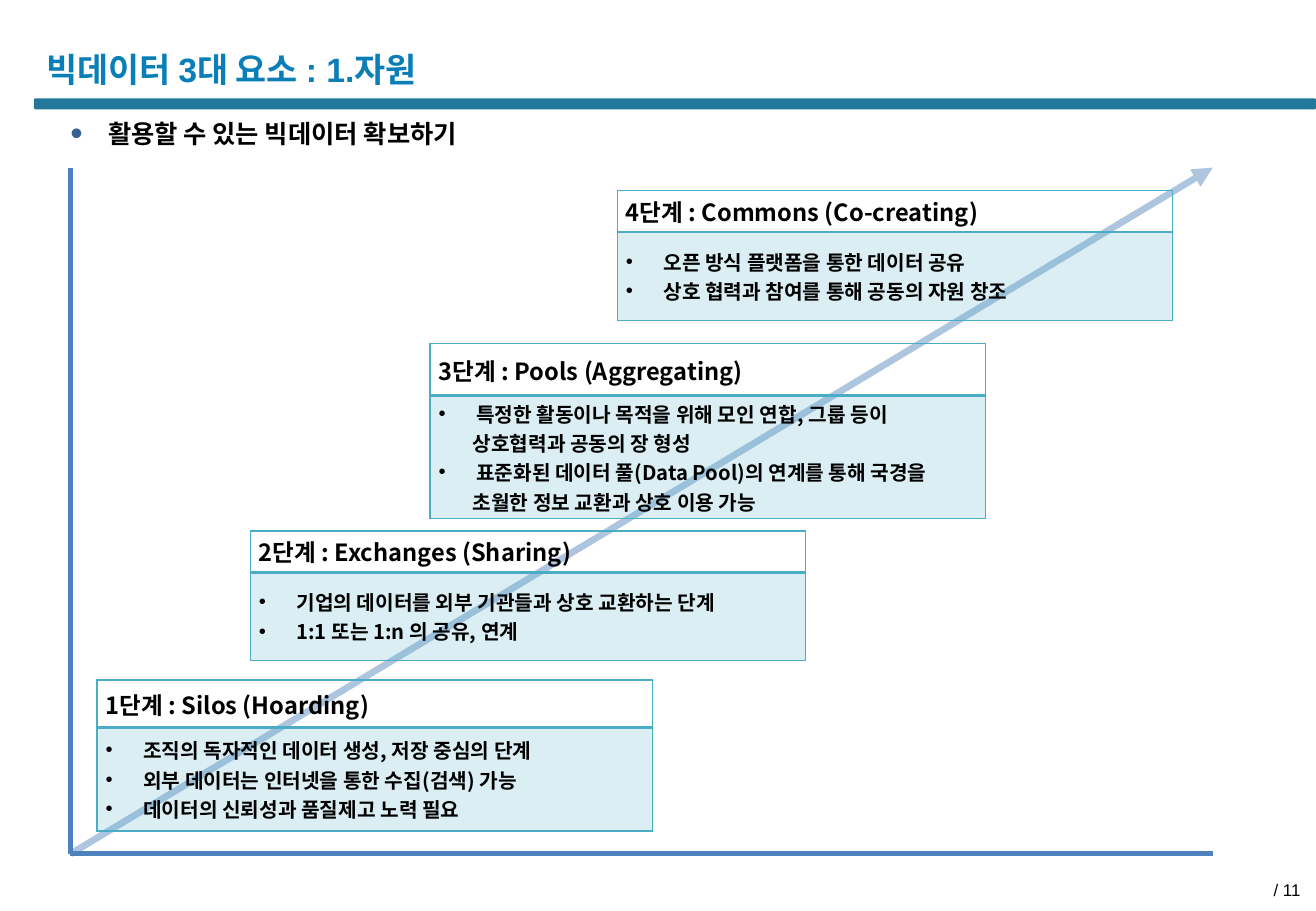
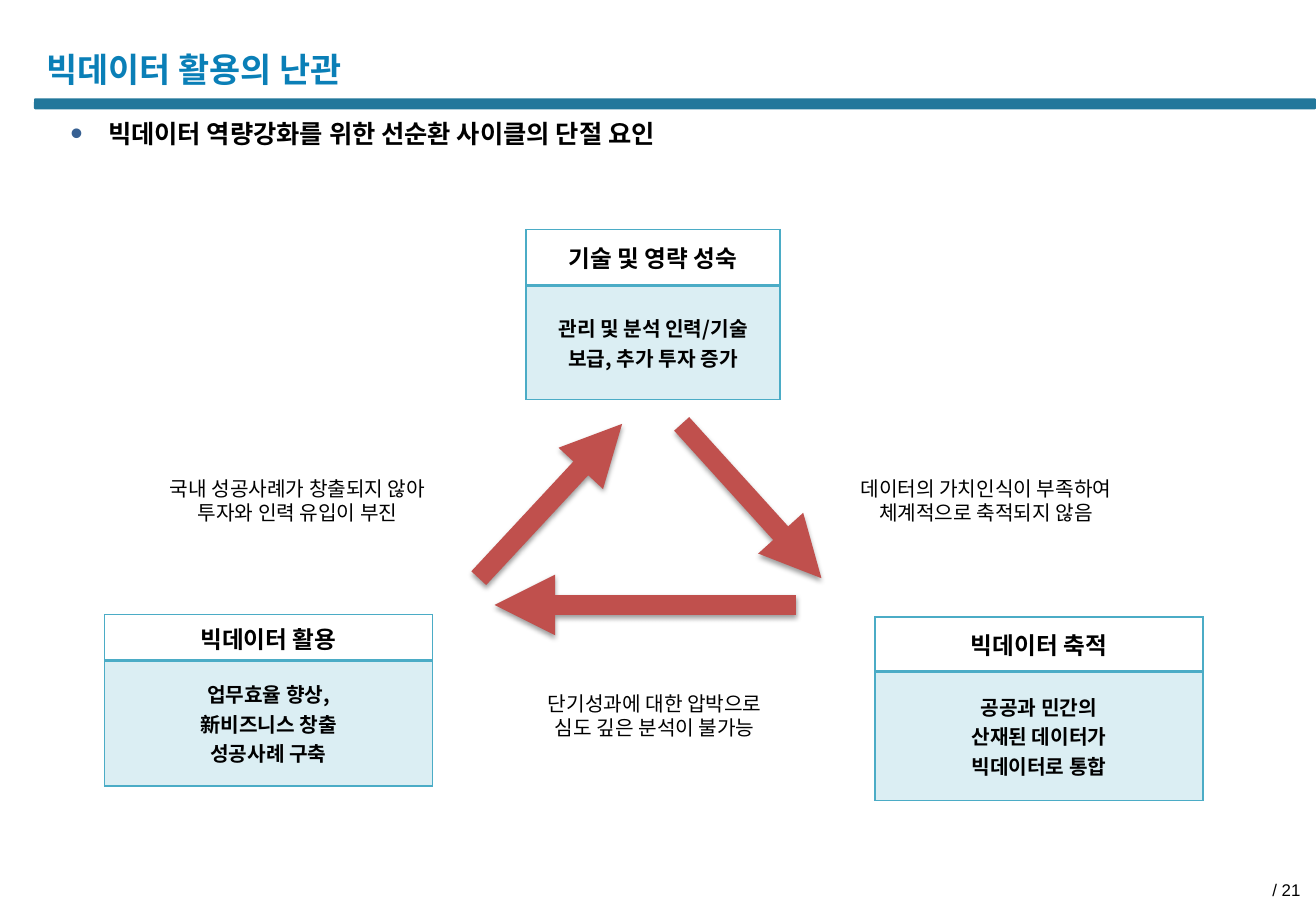
from lxml import etree
from pptx import Presentation
from pptx.dml.color import RGBColor
from pptx.enum.shapes import MSO_CONNECTOR, MSO_SHAPE
from pptx.enum.text import MSO_ANCHOR, MSO_AUTO_SIZE, PP_ALIGN
from pptx.oxml.ns import qn
from pptx.util import Pt

PX = 9144
LATIN, KOREAN = "Arial", "Noto Sans CJK KR"
LEFT, CENTER, RIGHT = PP_ALIGN.LEFT, PP_ALIGN.CENTER, PP_ALIGN.RIGHT
MIDDLE = MSO_ANCHOR.MIDDLE
BLACK = RGBColor(0x00, 0x00, 0x00)
TITLE_BLUE = RGBColor(0x0A, 0x7F, 0xB7)
BAND_TEAL = RGBColor(0x22, 0x77, 0x9B)
BULLET_BLUE = RGBColor(0x37, 0x60, 0x92)
AXIS_BLUE = RGBColor(0x4F, 0x81, 0xBD)
TABLE_TEAL = RGBColor(0x4B, 0xAC, 0xC6)
ARROW_RED = RGBColor(0xC0, 0x50, 0x4D)


def add_xml(parent, tag, **attributes):
    return etree.SubElement(parent, qn(tag), **attributes)


def write(frame, text, size=12, font=LATIN, color=BLACK, bold=False, align=LEFT,
          spacing=None, indent=0, bullet=False, bullet_color=BLACK, bullet_size=100):
    para = frame.add_paragraph() if frame.text else frame.paragraphs[0]
    properties = para._p.get_or_add_pPr()
    properties.set("marL", str(indent * PX))
    properties.set("indent", str(-indent * PX if bullet else 0))
    if bullet:
        add_xml(add_xml(properties, "a:buClr"), "a:srgbClr", val=str(bullet_color))
        add_xml(properties, "a:buSzPct", val=str(bullet_size * 1000))
        add_xml(properties, "a:buFont", typeface=LATIN)
        add_xml(properties, "a:buChar", char="•")
    para.alignment = align
    if spacing:
        para.line_spacing = Pt(spacing)
    span = para.add_run()
    span.text = text
    span.font.size = Pt(size)
    span.font.bold = bold
    span.font.color.rgb = color
    span.font.name = font
    add_xml(span._r.get_or_add_rPr(), "a:ea", typeface=KOREAN)


deck = Presentation()
deck.slide_width, deck.slide_height = 1083 * PX, 750 * PX

headings = [
    ("빅데이터 3대 요소 : 1.자원", LATIN, "활용할 수 있는 빅데이터 확보하기", "/ 11"),
    ("빅데이터 활용의 난관", KOREAN, "빅데이터 역량강화를 위한 선순환 사이클의 단절 요인", "/ 21"),
]
for title_text, title_font, subtitle_text, number_text in headings:
    page = deck.slides.add_slide(deck.slide_layouts[5])

    band = page.shapes.add_shape(MSO_SHAPE.ROUNDED_RECTANGLE, 28 * PX, 81 * PX, 1055 * PX, 9 * PX)
    band.adjustments[0] = 0.13
    band.shadow.inherit = False
    band.fill.solid()
    band.fill.fore_color.rgb = BAND_TEAL
    band.line.fill.background()

    title = page.shapes.title
    title.left, title.top, title.width, title.height = 28 * PX, 33 * PX, 571 * PX, 47 * PX
    title.text_frame.auto_size = MSO_AUTO_SIZE.NONE
    title.text_frame.vertical_anchor = MIDDLE
    write(title.text_frame, title_text, size=20, font=title_font, color=TITLE_BLUE,
          bold=True, spacing=24)

    subtitle = page.shapes.add_textbox(58 * PX, 97 * PX, 713 * PX, 25 * PX).text_frame
    subtitle.word_wrap = True
    subtitle.margin_left = subtitle.margin_top = subtitle.margin_right = subtitle.margin_bottom = 0
    write(subtitle, subtitle_text, size=15, bold=True, spacing=18, indent=31,
          bullet=True, bullet_color=BULLET_BLUE, bullet_size=140)

    number = page.shapes.add_textbox(831 * PX, 719 * PX, 249 * PX, 23 * PX).text_frame
    number.word_wrap = True
    write(number, number_text, size=10, align=RIGHT)

stages_page, cycle_page = deck.slides

lines = [
    (stages_page, (58, 703, 998, 138), AXIS_BLUE, 4, 46, True),
    (stages_page, (58, 138, 58, 703), AXIS_BLUE, 3, 100, False),
    (stages_page, (998, 703, 58, 703), AXIS_BLUE, 3, 100, False),
    (cycle_page, (561, 349, 676, 476), ARROW_RED, 12, 100, True),
    (cycle_page, (655, 498, 407, 498), ARROW_RED, 12, 100, True),
    (cycle_page, (394, 476, 512, 349), ARROW_RED, 12, 100, True),
]
for page, ends, color, weight, opacity, arrow in lines:
    line = page.shapes.add_connector(MSO_CONNECTOR.STRAIGHT, *[end * PX for end in ends])
    line.line.color.rgb = color
    line.line.width = Pt(weight)
    outline = line._element.spPr.find(qn("a:ln"))
    if opacity < 100:
        add_xml(outline.find(".//" + qn("a:srgbClr")), "a:alpha", val=str(opacity * 1000))
    if arrow:
        add_xml(outline, "a:tailEnd", type="triangle")
    effects = add_xml(line._element.spPr, "a:effectLst")
    if page is cycle_page:
        shadow = add_xml(effects, "a:outerShdw", blurRad="40000", dist="20000",
                         dir="5400000", rotWithShape="0")
        add_xml(add_xml(shadow, "a:srgbClr", val=str(BLACK)), "a:alpha", val="38000")

tables = [
    (stages_page, 80, 560, 457, (39, 85), "1단계 : Silos (Hoarding)",
     ["• 조직의 독자적인 데이터 생성, 저장 중심의 단계",
      "• 외부 데이터는 인터넷을 통한 수집(검색) 가능",
      "• 데이터의 신뢰성과 품질제고 노력 필요"]),
    (stages_page, 206, 437, 457, (34, 73), "2단계 : Exchanges (Sharing)",
     ["• 기업의 데이터를 외부 기관들과 상호 교환하는 단계",
      "• 1:1 또는 1:n 의 공유, 연계"]),
    (stages_page, 354, 283, 457, (43, 101), "3단계 : Pools (Aggregating)",
     ["• 특정한 활동이나 목적을 위해 모인 연합, 그룹 등이",
      "상호협력과 공동의 장 형성",
      "• 표준화된 데이터 풀(Data Pool)의 연계를 통해 국경을",
      "초월한 정보 교환과 상호 이용 가능"]),
    (stages_page, 508, 157, 457, (34, 73), "4단계 : Commons (Co-creating)",
     ["• 오픈 방식 플랫폼을 통한 데이터 공유",
      "• 상호 협력과 참여를 통해 공동의 자원 창조"]),
    (cycle_page, 433, 189, 209, (46, 94), "기술 및 영략 성숙",
     ["관리 및 분석 인력/기술", "보급, 추가 투자 증가"]),
    (cycle_page, 720, 508, 270, (45, 106), "빅데이터 축적",
     ["공공과 민간의", "산재된 데이터가", "빅데이터로 통합"]),
    (cycle_page, 86, 506, 270, (38, 103), "빅데이터 활용",
     ["업무효율 향상,", "新비즈니스 창출", "성공사례 구축"]),
]
for page, left, top, width, heights, heading, body in tables:
    table = page.shapes.add_table(2, 1, left * PX, top * PX, width * PX, sum(heights) * PX).table
    table.first_row = table.horz_banding = False
    align = CENTER if page is cycle_page else LEFT
    for row, height in enumerate(heights):
        table.rows[row].height = height * PX
        cell = table.cell(row, 0)
        cell.vertical_anchor = MIDDLE
        cell.margin_left = cell.margin_right = 7 * PX
        cell.margin_top = cell.margin_bottom = 2 * PX
        divider = "a:lnT" if row else "a:lnB"
        cell_properties = cell._tc.get_or_add_tcPr()
        for side in ("a:lnL", "a:lnR", "a:lnT", "a:lnB"):
            border = add_xml(cell_properties, side, w=str(Pt(2 if side == divider else 1)))
            add_xml(add_xml(border, "a:solidFill"), "a:srgbClr", val=str(TABLE_TEAL))

    header, content = table.cell(0, 0), table.cell(1, 0)
    header.fill.background()
    write(header.text_frame, heading, size=14, font=KOREAN, bold=True, align=align)
    content.fill.solid()
    content.fill.fore_color.rgb = TABLE_TEAL
    fill_color = content._tc.tcPr.find(qn("a:solidFill")).find(qn("a:srgbClr"))
    add_xml(fill_color, "a:alpha", val="20000")
    for text in body:
        bullet = text.startswith("• ")
        indent = 0 if page is cycle_page else 31 if bullet else 28
        write(content.text_frame, text.removeprefix("• "), font=KOREAN, bold=True,
              align=align, indent=indent, bullet=bullet)

labels = [
    (676, 387, 271, ["데이터의 가치인식이 부족하여", "체계적으로 축적되지 않음"]),
    (391, 564, 296, ["단기성과에 대한 압박으로", "심도 깊은 분석이 불가능"]),
    (97, 387, 296, ["국내 성공사례가 창출되지 않아", "투자와 인력 유입이 부진"]),
]
for left, top, width, texts in labels:
    label = cycle_page.shapes.add_textbox(left * PX, top * PX, width * PX, 50 * PX).text_frame
    label.word_wrap = True
    for text in texts:
        write(label, text, align=CENTER, spacing=14.5)

deck.save("out.pptx")
